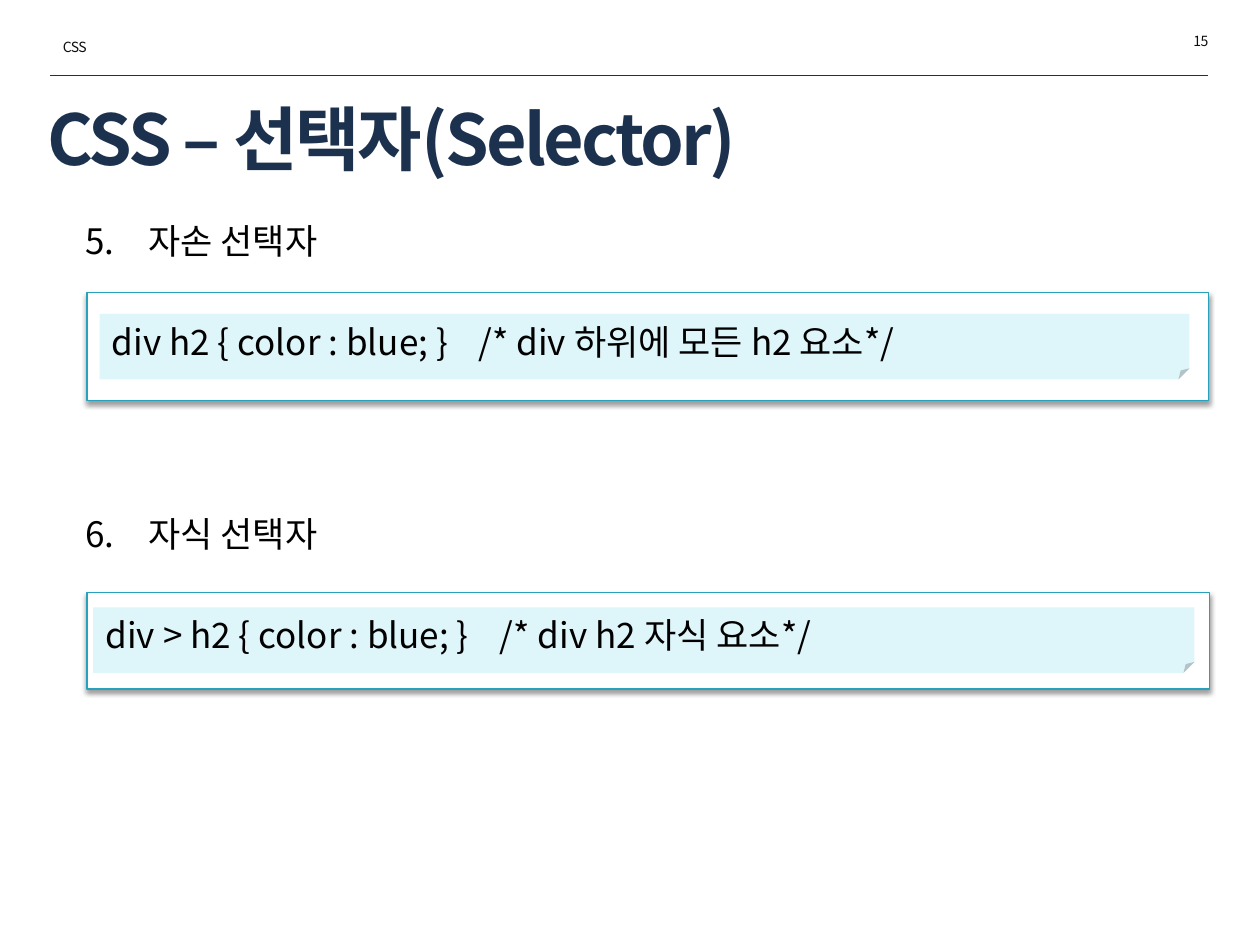
from lxml import etree
from pptx import Presentation
from pptx.dml.color import RGBColor
from pptx.enum.shapes import MSO_CONNECTOR, MSO_SHAPE
from pptx.enum.text import MSO_ANCHOR, PP_ALIGN
from pptx.oxml.ns import qn
from pptx.util import Inches, Pt

RECT, FOLD = MSO_SHAPE.RECTANGLE, MSO_SHAPE.FOLDED_CORNER
LEFT, RIGHT = PP_ALIGN.LEFT, PP_ALIGN.RIGHT
TOP, MIDDLE = MSO_ANCHOR.TOP, MSO_ANCHOR.MIDDLE
FONT = "Noto Sans CJK KR"
NAVY, TEAL, PALE = "1C314E", "28A1BE", "DEF5FA"
UNIT = Inches(0.1)  # the slide is a grid of 100 columns by 75 rows


def color(code):
    return RGBColor.from_string(code)


def write(shape, text, size, ink="000000", align=LEFT, anchor=TOP, space=0):
    """Put one styled line in the shape and return its default run style."""
    frame = shape.text_frame
    frame.word_wrap = True
    frame.vertical_anchor = anchor
    para = frame.paragraphs[0]
    para.text = text
    para.alignment = align
    para.font.size = Pt(size)
    para.font.color.rgb = color(ink)
    para.font.name = FONT
    para.font.bold = ink == NAVY
    style = para._p.pPr.find(qn("a:defRPr"))
    style.set("spc", str(int(space * 100)))
    etree.SubElement(style, qn("a:ea"), typeface=FONT)
    return style


deck = Presentation()
deck.slide_width, deck.slide_height = 100 * UNIT, 75 * UNIT
slide = deck.slides.add_slide(deck.slide_layouts[6])
shapes = slide.shapes

# Header: rule, topic, page number and title
rule = shapes.add_connector(MSO_CONNECTOR.STRAIGHT, 4 * UNIT, 6 * UNIT,
                            int(95.9 * UNIT), 6 * UNIT)
rule.line.color.rgb = color(NAVY)
rule.line.width = Pt(0.25)
etree.SubElement(rule._element.spPr, qn("a:effectLst"))

heads = [
    ((4, 2.6, 17.3, 2.4), "CSS", 8, "0D0D0D", LEFT, TOP, -0.3),
    ((79.6, 2.1, 17.3, 2.4), "15", 8, "0D0D0D", RIGHT, TOP, -0.3),
    ((2.8, 7.7, 92.6, 6.4), "CSS – 선택자(Selector)", 40, NAVY, LEFT, MIDDLE, -1.5),
]
for place, *look in heads:
    box = shapes.add_textbox(*(int(n * UNIT) for n in place))
    write(box, *look)

# Selectors: number, name, item top, frame, note, rule, comment, comment tab
items = [
    (5, "자손 선택자", 16.9, (6.9, 23.2, 89, 8.6), (7.9, 24.9, 86.5, 5.2),
     "div h2 { color : blue; }", "/* div 하위에 모든 h2 요소*/", 29.1),
    (6, "자식 선택자", 40.2, (6.9, 47, 89.1, 7.7), (7.4, 48.2, 87.4, 5.2),
     "div > h2 { color : blue; }", "/* div h2 자식 요소*/", 31.3),
]
for number, name, top, frame, note, code, remark, stop in items:
    box = shapes.add_textbox(4 * UNIT, int(top * UNIT), int(90.4 * UNIT), 5 * UNIT)
    style = write(box, name, 20)
    pars = style.getparent()
    pars.set("marL", str(int(6.8 * UNIT)))
    pars.set("indent", str(-5 * UNIT))
    style.addprevious(etree.Element(qn("a:buAutoNum"), type="arabicPeriod",
                                    startAt=str(number)))

    card = shapes.add_shape(RECT, *(int(n * UNIT) for n in frame))
    card.fill.solid()
    card.fill.fore_color.rgb = color("FFFFFF")
    card.line.color.rgb = color(TEAL)
    card.line.width = Pt(0.75)
    card.shadow.inherit = False
    glow = etree.SubElement(card._element.spPr.find(qn("a:effectLst")),
                            qn("a:outerShdw"), blurRad=str(Pt(3.1)),
                            dist=str(Pt(1.6)), dir="5400000", rotWithShape="0")
    tint = etree.SubElement(glow, qn("a:srgbClr"), val="000000")
    etree.SubElement(tint, qn("a:alpha"), val="38000")

    sheet = shapes.add_shape(FOLD, *(int(n * UNIT) for n in note))
    sheet.fill.solid()
    sheet.fill.fore_color.rgb = color(PALE)
    sheet.line.fill.background()
    sheet.shadow.inherit = False
    style = write(sheet, f"{code}\t{remark}", 20, anchor=MIDDLE)
    tabs = etree.Element(qn("a:tabLst"))
    etree.SubElement(tabs, qn("a:tab"), pos=str(int(stop * UNIT)), algn="l")
    style.addprevious(tabs)

deck.save("out.pptx")
